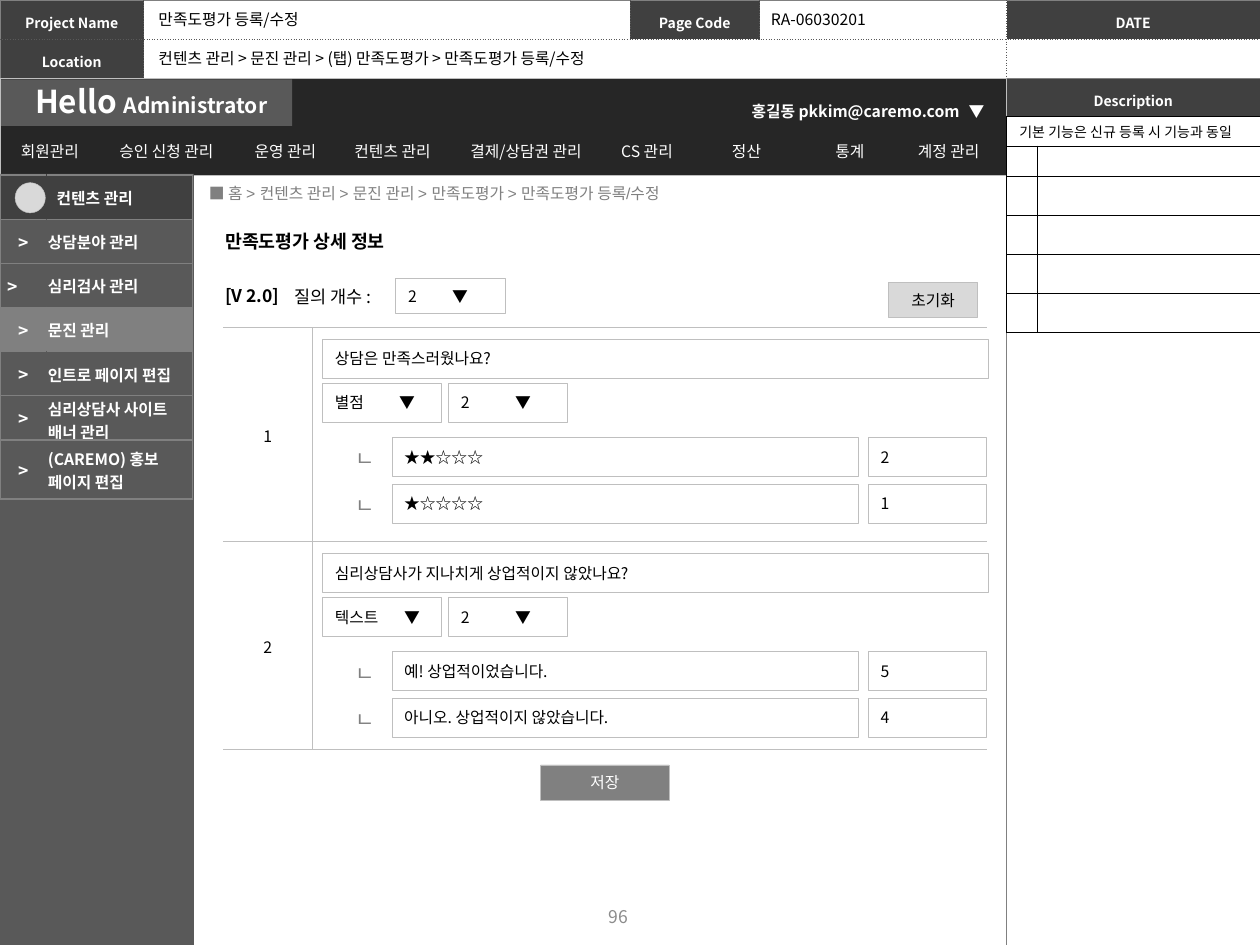
from dataclasses import dataclass, replace
from typing import Optional

from lxml.etree import SubElement, Element
from pptx import Presentation
from pptx.dml.color import RGBColor
from pptx.enum.shapes import MSO_SHAPE
from pptx.enum.text import MSO_ANCHOR, MSO_AUTO_SIZE, PP_ALIGN
from pptx.oxml.ns import qn
from pptx.util import Inches, Pt

NOTO = "Noto Sans CJK KR"
BLACK, WHITE = "000000", "FFFFFF"
INK, DARK, SLATE, GREY, SILVER, PALE = "262626", "404040", "595959", "808080", "BFBFBF", "D9D9D9"


@dataclass(frozen=True)
class Look:
    size: float = 9
    color: str = BLACK
    bold: bool = False
    align: PP_ALIGN = PP_ALIGN.LEFT
    lead: Optional[float] = None
    face: str = NOTO
    tab: Optional[float] = None


@dataclass(frozen=True)
class Line:
    color: str
    width: float = 0.5
    dash: str = "solid"


@dataclass(frozen=True)
class Item:
    text: str
    fill: str = SLATE
    pad: float = 0.01  # left inset of the label
    mark: str = ">"
    shift: float = 0.01  # right inset of the mark


@dataclass(frozen=True)
class Query:
    top: float
    text: str
    kind: str
    tab: float
    picks: tuple


PLAIN = Look()
MID = Look(align=PP_ALIGN.CENTER)
HEAD = Look(8, WHITE, True, PP_ALIGN.CENTER, 1.3)
MENU = replace(MID, color=WHITE)

deck = Presentation()
deck.slide_width, deck.slide_height = Inches(10), Inches(7.5)
slide = deck.slides.add_slide(deck.slide_layouts[6])
shapes = slide.shapes


def paint(fill, color: Optional[str]) -> None:
    if color is None:
        fill.background()
    else:
        fill.solid()
        fill.fore_color.rgb = RGBColor.from_string(color)


def write(frame, text: str, look: Look) -> None:
    para = frame.paragraphs[0]
    para.text = text
    props = para._p.get_or_add_pPr()
    if look.tab:
        stops = SubElement(props, qn("a:tabLst"))
        SubElement(stops, qn("a:tab"), pos=str(Inches(look.tab)), algn="l")
    para.alignment = look.align
    para.line_spacing = look.lead
    font = para.font
    font.size, font.bold, font.name = Pt(look.size), look.bold, look.face
    font.color.rgb = RGBColor.from_string(look.color)
    SubElement(props.find(qn("a:defRPr")), qn("a:ea"), typeface=NOTO)


def label(x: float, y: float, w: float, h: float, text: str, look: Look = PLAIN, wrap: bool = False):
    frame = shapes.add_textbox(Inches(x), Inches(y), Inches(w), Inches(h)).text_frame
    frame.word_wrap = wrap
    frame.auto_size = MSO_AUTO_SIZE.SHAPE_TO_FIT_TEXT
    write(frame, text, look)
    return frame


def box(x: float, y: float, w: float, h: float, text: str = "", look: Look = PLAIN,
        fill: str = WHITE, edge: Optional[str] = SILVER, kind=MSO_SHAPE.RECTANGLE) -> None:
    shape = shapes.add_shape(kind, Inches(x), Inches(y), Inches(w), Inches(h))
    shape.shadow.inherit = False
    paint(shape.fill, fill)
    paint(shape.line.fill, edge)
    if edge:
        shape.line.width = Pt(0.25)
    if text:
        shape.text_frame.word_wrap = True
        shape.text_frame.vertical_anchor = MSO_ANCHOR.MIDDLE
        write(shape.text_frame, text, look)


def grid(x: float, y: float, cols: list, rows: list):
    table = shapes.add_table(len(rows), len(cols), Inches(x), Inches(y),
                             Inches(sum(cols)), Inches(sum(rows))).table
    table.first_row = table.horz_banding = False
    for col, w in zip(table.columns, cols):
        col.width = Inches(w)
    for row, h in zip(table.rows, rows):
        row.height = Inches(h)
    return table


def cell(spot, text: str, look: Look, fill: Optional[str], left: Optional[Line], right: Optional[Line],
         top: Optional[Line], foot: Optional[Line], pads: tuple = (0.04, 0.04, 0.04, 0.04)) -> None:
    spot.margin_left, spot.margin_right, spot.margin_top, spot.margin_bottom = map(Inches, pads)
    spot.vertical_anchor = MSO_ANCHOR.MIDDLE
    if text:
        write(spot.text_frame, text, look)
    else:
        SubElement(spot.text_frame.paragraphs[0]._p, qn("a:endParaRPr"), sz="800")
    paint(spot.fill, fill)
    props = spot._tc.get_or_add_tcPr()
    for i, (side, line) in enumerate(zip("LRTB", (left, right, top, foot))):
        edge = Element(qn(f"a:ln{side}"), w=str(Pt(line.width if line else 0)))
        if line:
            SubElement(SubElement(edge, qn("a:solidFill")), qn("a:srgbClr"), val=line.color)
            SubElement(edge, qn("a:prstDash"), val=line.dash)
        else:
            SubElement(edge, qn("a:noFill"))
        props.insert(i, edge)


# Page header
rim, dots = Line(GREY), Line(SLATE, 0.5, "sysDot")
table = grid(0, 0, [1.14, 3.86, 1.03, 1.96, 2.01], [0.31, 0.31])
table.cell(1, 1).merge(table.cell(1, 3))
names = [["Project Name", "", "Page Code", "", "DATE"], ["Location", "", "", "", ""]]
for r, line in enumerate(names):
    for c, text in enumerate(line):
        cell(table.cell(r, c), text, HEAD, DARK if text else None, dots if c else rim,
             rim if c == 4 else dots, dots if r else rim, rim if r else dots)

# Description panel
table = grid(7.99, 0.62, [2.01], [0.31, 6.57])
cell(table.cell(0, 0), "Description", HEAD, DARK, rim, rim, rim, dots)
cell(table.cell(1, 0), "", HEAD, None, rim, rim, dots, rim)

# Top bar and menu
box(0, 0.62, 7.99, 0.77, fill=INK)
box(0.01, 0.63, 2.31, 0.37, fill=SLATE, edge=None)
title = label(0.18, 0.6, 2.09, 0.4, "Hello ", Look(12, WHITE, True)).paragraphs[0]
title.runs[0].font.size = Pt(18)
title.add_run().text = "Administrator"

menu = ["회원관리", "승인 신청 관리", "운영 관리", "컨텐츠 관리", "결제/상담권 관리", "CS 관리",
        "정산", "통계", "계정 관리"]
table = grid(0.02, 1.04, [0.75, 1.1, 0.79, 0.91, 1.21, 0.71, 0.87, 0.77, 0.8], [0.31])
ink = Line(INK, 1)
for c, text in enumerate(menu):
    cell(table.cell(0, c), text, MENU, None, ink, ink, ink, ink)
user = Look(9, WHITE, True, PP_ALIGN.CENTER, 1.2)
label(5.82, 0.73, 1.94, 0.26, "홍길동 pkkim@caremo.com", user, True)
label(7.59, 0.73, 0.33, 0.26, "▼", replace(user, align=PP_ALIGN.LEFT))

# Header values and page headings
label(1.16, 0.03, 1.43, 0.25, "만족도평가 등록/수정")
label(6.02, 0.03, 0.98, 0.25, "RA-06030201")
label(1.16, 0.34, 4.06, 0.25, "컨텐츠 관리 > 문진 관리 > (탭) 만족도평가 > 만족도평가 등록/수정")
label(1.56, 1.41, 6.12, 0.25, "■ 홈 > 컨텐츠 관리 > 문진 관리 > 만족도평가 > 만족도평가 등록/수정",
      Look(color=GREY, face="Arial"), True)
label(1.69, 1.78, 1.63, 0.28, "만족도평가 상세 정보", Look(10.5, bold=True))
label(1.69, 2.21, 0.65, 0.27, "[V 2.0]", Look(10, bold=True))
label(2.24, 2.22, 0.89, 0.27, "질의 개수 :", Look(10))
box(3.14, 2.21, 0.87, 0.28, "2\t▼", Look(tab=0.35))
box(7.05, 2.24, 0.71, 0.28, "초기화", MID, PALE)

# Survey questions
rule = Line(SILVER)
table = grid(1.77, 2.6, [0.71, 5.35], [1.7, 1.65])
for r in range(2):
    cell(table.cell(r, 0), str(r + 1), MID, WHITE, None, rule, rule, rule, (0.01, 0.01, 0.01, 0))
    cell(table.cell(r, 1), "", MID, None, rule, None, rule, rule)

queries = [
    Query(2.69, "상담은 만족스러웠나요?", "별점", 0.51, (("★★☆☆☆", "2"), ("★☆☆☆☆", "1"))),
    Query(4.39, "심리상담사가 지나치게 상업적이지 않았나요?", "텍스트", 0.55,
          (("예! 상업적이었습니다.", "5"), ("아니오. 상업적이지 않았습니다.", "4"))),
]
for q in queries:
    box(2.56, q.top, 5.28, 0.31, q.text)
    box(2.56, q.top + 0.35, 0.94, 0.31, f"{q.kind}\t▼", Look(tab=q.tab))
    box(3.56, q.top + 0.35, 0.94, 0.31, "2\t▼", Look(tab=0.43))
    for i, (text, score) in enumerate(q.picks):
        y = q.top + 0.78 + 0.37 * i
        label(2.72, y + 0.02, 0.37, 0.3, "ㄴ", Look(12, GREY))
        box(3.11, y, 3.7, 0.31, text)
        box(6.89, y, 0.94, 0.31, score)
box(4.29, 6.07, 1.02, 0.28, "저장", MENU, GREY)
label(3.74, 7.14, 2.33, 0.27, "96", Look(10, "8C8C8C", align=PP_ALIGN.CENTER), True)

# Side menu
box(0, 1.38, 1.54, 6.12, fill=SLATE, edge=None)
items = [
    Item("컨텐츠 관리", DARK, 0.08, ""),
    Item("상담분야 관리"),
    Item("심리검사 관리", shift=0.18),
    Item("문진 관리", GREY),
    Item("인트로 페이지 편집"),
    Item("심리상담사 사이트 배너 관리"),
    Item("(CAREMO) 홍보 페이지 편집"),
]
table = grid(0, 1.39, [0.37, 1.16], [0.35] * 6 + [0.47])
side = Line(GREY, 1)
for r, it in enumerate(items):
    seam = Line(it.fill, 1)
    cell(table.cell(r, 0), it.mark, Look(10, WHITE, True, PP_ALIGN.CENTER), it.fill,
         side, seam, side, side, (0.01, it.shift, 0.01, 0))
    cell(table.cell(r, 1), it.text, Look(9, WHITE, True), it.fill,
         seam, side, side, side, (it.pad, 0.01, 0.01, 0))
box(0.12, 1.45, 0.24, 0.24, fill=PALE, kind=MSO_SHAPE.OVAL)

# Description notes
table = grid(7.99, 0.92, [0.23, 1.77], [0.24] * 2 + [0.31] * 4)
table.cell(0, 0).merge(table.cell(0, 1))
thin = Line(BLACK)
for r in range(6):
    for c in range(2):
        text = "" if r or c else "기본 기능은 신규 등록 시 기능과 동일"
        cell(table.cell(r, c), text, Look(8), WHITE, thin, thin, thin, thin, (0.1, 0.1, 0.03, 0.03))

deck.save("out.pptx")
